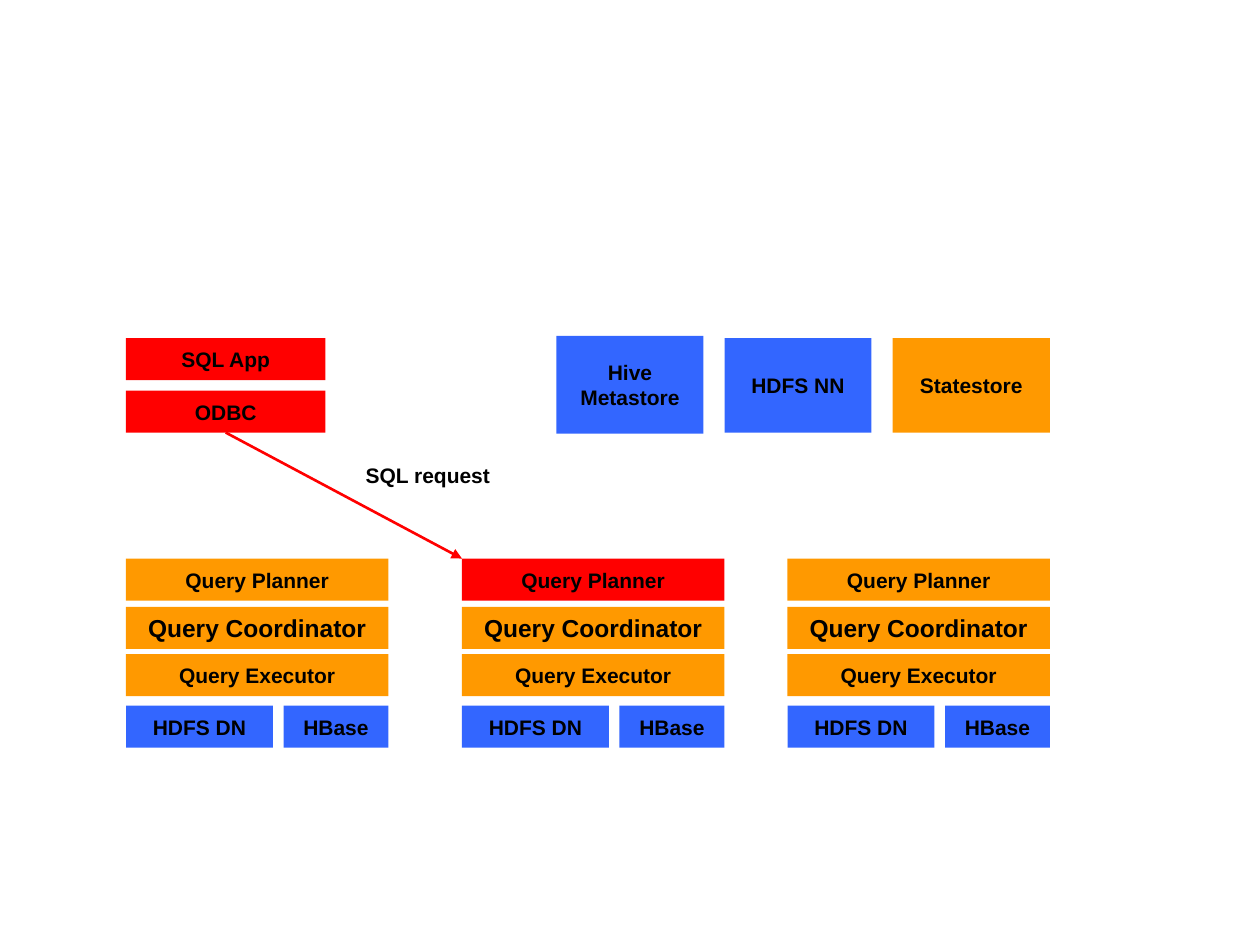
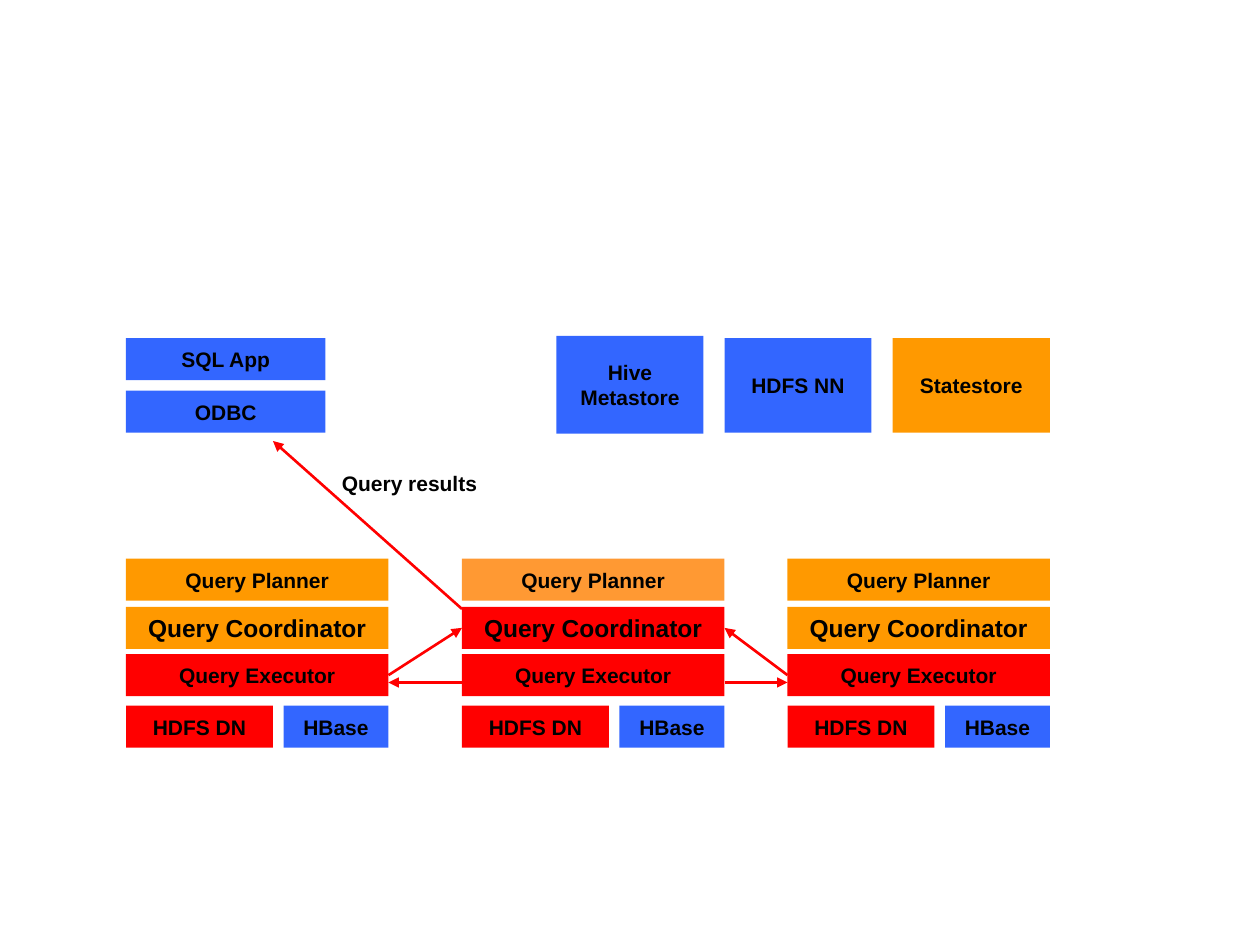
from lxml import etree
from pptx import Presentation
from pptx import util as u
from pptx.dml.color import RGBColor
from pptx.enum import shapes, text
from pptx.oxml.ns import qn

COLORS = {
    "active": "FF0000",
    "engine": "FF9900",
    "idle_planner": "FF9933",
    "storage": "3366FF",
    "ink": "000000",
}
FONT = "Arial"
CELL = u.Inches(1) / 12  # the grid has 120 columns and 90 rows

NODE_COLUMNS = (12, 44, 75)
NODE_WIDTH = 25
BAR_HEIGHT = 4
# part: (label, column offset, row, width, size, usual colour)
NODE_PARTS = {
    "planner": ("Query Planner", 0, 53.2, NODE_WIDTH, 12, "engine"),
    "coordinator": ("Query Coordinator", 0, 57.8, NODE_WIDTH, 14, "engine"),
    "executor": ("Query Executor", 0, 62.3, NODE_WIDTH, 12, "engine"),
    "datanode": ("HDFS DN", 0, 67.2, 14, 12, "storage"),
    "hbase": ("HBase", 15, 67.2, 10, 12, "storage"),
}
# label, column, row, width, height, colour
SERVICES = (
    ("Hive\vMetastore", 53, 32, 14, 9.3, "storage"),
    ("HDFS NN", 69, 32.2, 14, 9, "storage"),
    ("Statestore", 85, 32.2, 15, 9, "engine"),
)
CLIENT_COLUMN, CLIENT_WIDTH = 12, 19
CLIENT_ROWS = {"SQL App": 32.2, "ODBC": 37.2}

TOP, LEFT, BOTTOM, RIGHT = range(4)


def cells(*counts):
    return [round(count * CELL) for count in counts]


def rgb(name):
    return RGBColor.from_string(COLORS[name])


def write_centered(shape, label, size):
    frame = shape.text_frame
    frame.word_wrap = True
    frame.vertical_anchor = text.MSO_ANCHOR.MIDDLE
    frame.margin_left = frame.margin_right = u.Inches(0.1)
    frame.margin_top = frame.margin_bottom = u.Inches(0.1)
    frame.text = label
    for paragraph in frame.paragraphs:
        paragraph.alignment = text.PP_ALIGN.CENTER
        for run in paragraph.runs:
            run.font.name = FONT
            run.font.size = u.Pt(size)
            run.font.bold = True
            run.font.color.rgb = rgb("ink")


def add_box(container, label, column, row, width, height, color, size=12):
    box = container.shapes.add_shape(
        shapes.MSO_SHAPE.RECTANGLE, *cells(column, row, width, height))
    box.shadow.inherit = False
    box.fill.solid()
    box.fill.fore_color.rgb = rgb(color)
    box.line.fill.background()
    write_centered(box, label, size)
    return box


def add_label(slide, label, column, row):
    write_centered(
        slide.shapes.add_textbox(*cells(column, row, 16, BAR_HEIGHT)), label, 12)


def add_arrow(slide, start, end):
    """Draw an arrow; each end is a (column, row) point or a (box, side) joint."""
    arrow = slide.shapes.add_connector(
        shapes.MSO_CONNECTOR.STRAIGHT, *cells(*to_point(start), *to_point(end)))
    if not is_point(start):
        arrow.begin_connect(*start)
    if not is_point(end):
        arrow.end_connect(*end)
    arrow.line.color.rgb = rgb("active")
    arrow.line.width = u.Pt(1.5)
    etree.SubElement(arrow.line._get_or_add_ln(), qn("a:tailEnd"), type="triangle")
    etree.SubElement(arrow._element.spPr, qn("a:effectLst"))


def is_point(end):
    return isinstance(end[0], (int, float))


def to_point(end):
    return end if is_point(end) else (0, 0)


def add_client(slide, color):
    """Add the grouped client boxes and return the ODBC box."""
    group = slide.shapes.add_group_shape()
    boxes = {label: add_box(group, label, CLIENT_COLUMN, row, CLIENT_WIDTH,
                            BAR_HEIGHT, color)
             for label, row in CLIENT_ROWS.items()}
    return boxes["ODBC"]


def add_node(slide, node_column, overrides):
    """Add one worker node and return its boxes by part name."""
    boxes = {}
    for part, (label, offset, row, width, size, color) in NODE_PARTS.items():
        boxes[part] = add_box(slide, label, node_column + offset, row, width,
                              BAR_HEIGHT, overrides.get(part, color), size)
    return boxes


def add_cluster(presentation, client_color, node_overrides):
    """Add a slide with client, services and nodes; return what arrows need."""
    slide = presentation.slides.add_slide(presentation.slide_layouts[6])
    odbc = add_client(slide, client_color)
    for service in SERVICES:
        add_box(slide, *service)
    nodes = [add_node(slide, column, overrides)
             for column, overrides in zip(NODE_COLUMNS, node_overrides)]
    return slide, odbc, nodes


def add_request_slide(presentation):
    slide, odbc, _ = add_cluster(
        presentation, "active", ({}, {"planner": "active"}, {}))
    add_arrow(slide, (odbc, BOTTOM), (NODE_COLUMNS[1], NODE_PARTS["planner"][2]))
    add_label(slide, "SQL request", 32.75, 43.2)


def add_results_slide(presentation):
    working = {"executor": "active", "datanode": "active"}
    coordinating = {**working, "planner": "idle_planner", "coordinator": "active"}
    slide, _, (left, middle, right) = add_cluster(
        presentation, "storage", (working, coordinating, working))

    first, second, third = NODE_COLUMNS
    exchange_row = 65
    add_arrow(slide, (second, exchange_row), (first + NODE_WIDTH, exchange_row))
    add_arrow(slide, (second + NODE_WIDTH, exchange_row), (third, exchange_row))
    add_arrow(slide, (right["executor"], LEFT), (middle["coordinator"], RIGHT))
    add_arrow(slide, (left["executor"], RIGHT), (middle["coordinator"], LEFT))
    add_arrow(slide, (second, 58), (26, 42))
    add_label(slide, "Query results", 31, 44)


def main():
    presentation = Presentation()
    presentation.slide_width = u.Inches(10)
    presentation.slide_height = u.Inches(7.5)
    add_request_slide(presentation)
    add_results_slide(presentation)
    presentation.save("out.pptx")


if __name__ == "__main__":
    main()
